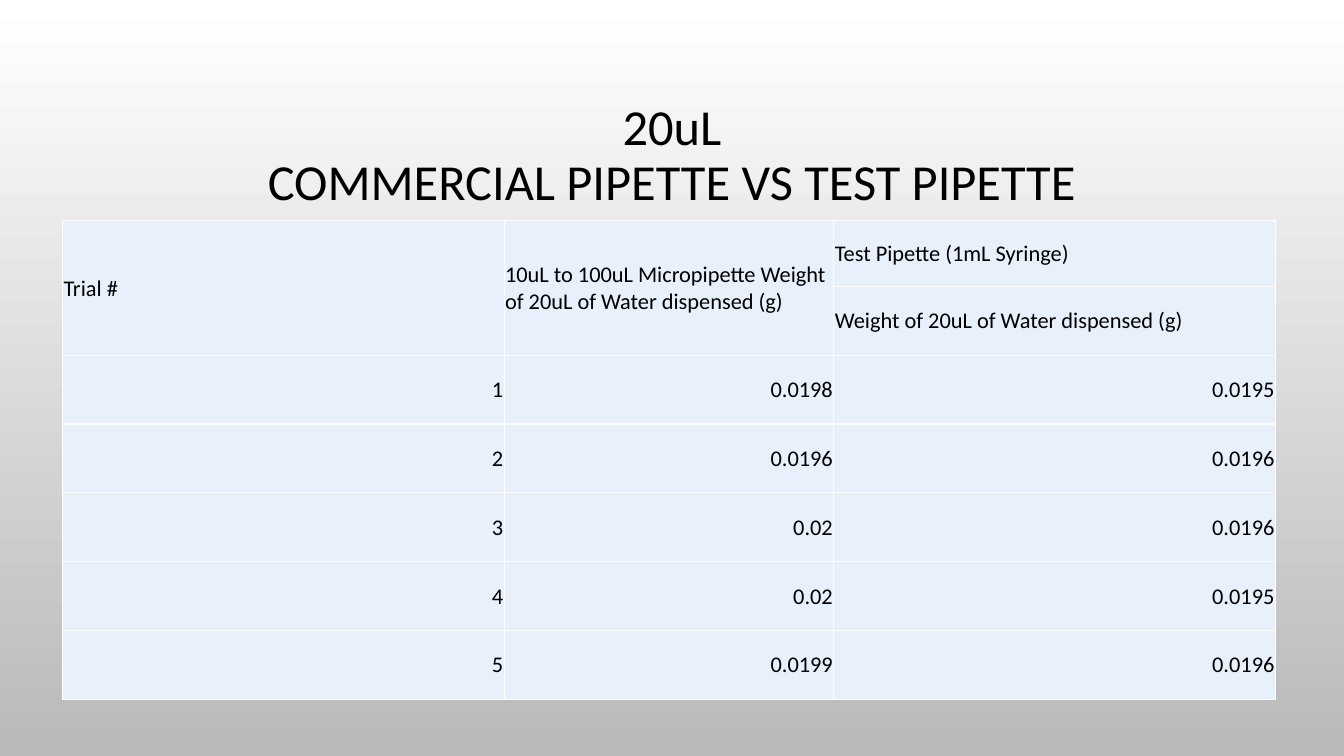
from pptx import Presentation
from pptx.dml.color import RGBColor
from pptx.enum.text import MSO_ANCHOR, PP_ALIGN
from pptx.oxml import parse_xml
from pptx.oxml.ns import nsdecls
from pptx.util import Inches, Pt

LEFT, CENTER, RIGHT = PP_ALIGN.LEFT, PP_ALIGN.CENTER, PP_ALIGN.RIGHT
MIDDLE = MSO_ANCHOR.MIDDLE

# Content
TITLE = "20uL\vCOMMERCIAL PIPETTE VS TEST PIPETTE"
HEADINGS = [
    ("Trial #",
     "10uL to 100uL Micropipette Weight of 20uL of Water dispensed (g)",
     "Test Pipette (1mL Syringe)"),
    ("", "", "Weight of 20uL of Water dispensed (g)"),
]
TRIALS = [
    ("1", "0.0198", "0.0195"),
    ("2", "0.0196", "0.0196"),
    ("3", "0.02", "0.0196"),
    ("4", "0.02", "0.0195"),
    ("5", "0.0199", "0.0196"),
]

# Style and layout, in inches
COLORS = {"text": "000000", "cell": "E8F0FC", "border": "FFFFFF",
          "top": "FFFFFF", "bottom": "B9B9B9"}
FONT = "Calibri"
SLIDE_WIDTH, SLIDE_HEIGHT = 13.33, 7.5
TITLE_LEFT, TITLE_TOP, TITLE_HEIGHT = 1, 0.68, 1.75
TABLE_LEFT, TABLE_TOP = 0.62, 2.19
COLUMNS = [4.38, 3.27, 4.38]
FIRST_ROW, OTHER_ROW = 0.65, 0.683
CELL_MARGIN = 0.01


def color(name):
    return RGBColor.from_string(COLORS[name])


def write(frame, text, size, align=LEFT, spacing=None):
    para = frame.paragraphs[0]
    para.text = text
    para.alignment = align
    para.line_spacing = spacing
    for span in para.runs:
        span.font.name = FONT
        span.font.size = Pt(size)
        span.font.color.rgb = color("text")


def style_cell(cell):
    cell.vertical_anchor = MIDDLE
    cell.margin_left = cell.margin_right = cell.margin_top = Inches(CELL_MARGIN)
    cell.margin_bottom = 0
    cell.fill.solid()
    cell.fill.fore_color.rgb = color("cell")
    # Borders come before the fill in the cell properties
    properties = cell._tc.get_or_add_tcPr()
    for index, side in enumerate(("lnL", "lnR", "lnT", "lnB")):
        properties.insert(index, parse_xml(
            f'<a:{side} {nsdecls("a")} w="{Pt(1)}"><a:solidFill>'
            f'<a:srgbClr val="{COLORS["border"]}"/></a:solidFill></a:{side}>'))


def main():
    deck = Presentation()
    deck.slide_width, deck.slide_height = Inches(SLIDE_WIDTH), Inches(SLIDE_HEIGHT)
    page = deck.slides.add_slide(deck.slide_layouts[6])

    # Background gradient, light at the top
    backdrop = page.background.fill
    backdrop.gradient()
    backdrop.gradient_angle = 270
    for stop, name in zip(backdrop.gradient_stops, ("top", "bottom")):
        stop.color.rgb = color(name)

    # Title
    box = page.shapes.add_textbox(
        Inches(TITLE_LEFT), Inches(TITLE_TOP),
        Inches(SLIDE_WIDTH - 2 * TITLE_LEFT), Inches(TITLE_HEIGHT))
    box.text_frame.word_wrap = True
    box.text_frame.vertical_anchor = MIDDLE
    write(box.text_frame, TITLE, 36, align=CENTER, spacing=0.9)

    # Table
    rows = HEADINGS + TRIALS
    heights = [FIRST_ROW] + [OTHER_ROW] * (len(rows) - 1)
    table = page.shapes.add_table(
        len(rows), len(COLUMNS), Inches(TABLE_LEFT), Inches(TABLE_TOP),
        Inches(sum(COLUMNS)), Inches(sum(heights))).table
    table.first_row = table.horz_banding = False
    for column, width in zip(table.columns, COLUMNS):
        column.width = Inches(width)
    for row, height in zip(table.rows, heights):
        row.height = Inches(height)
    for r, values in enumerate(rows):
        for c, value in enumerate(values):
            cell = table.cell(r, c)
            style_cell(cell)
            write(cell.text_frame, value, 16,
                  align=LEFT if r < len(HEADINGS) else RIGHT)

    # The first two headings span both heading rows
    for c in range(2):
        table.cell(0, c).merge(table.cell(1, c))

    deck.save("out.pptx")


if __name__ == "__main__":
    main()
